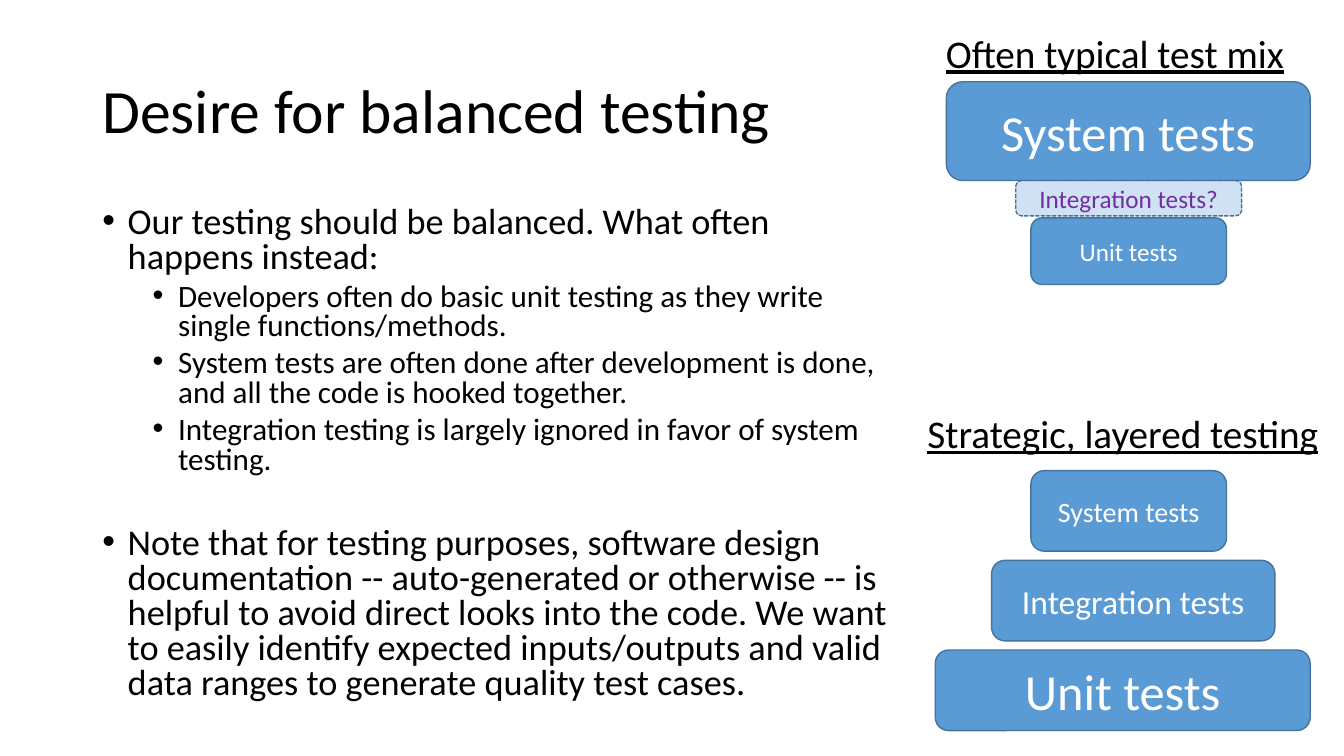
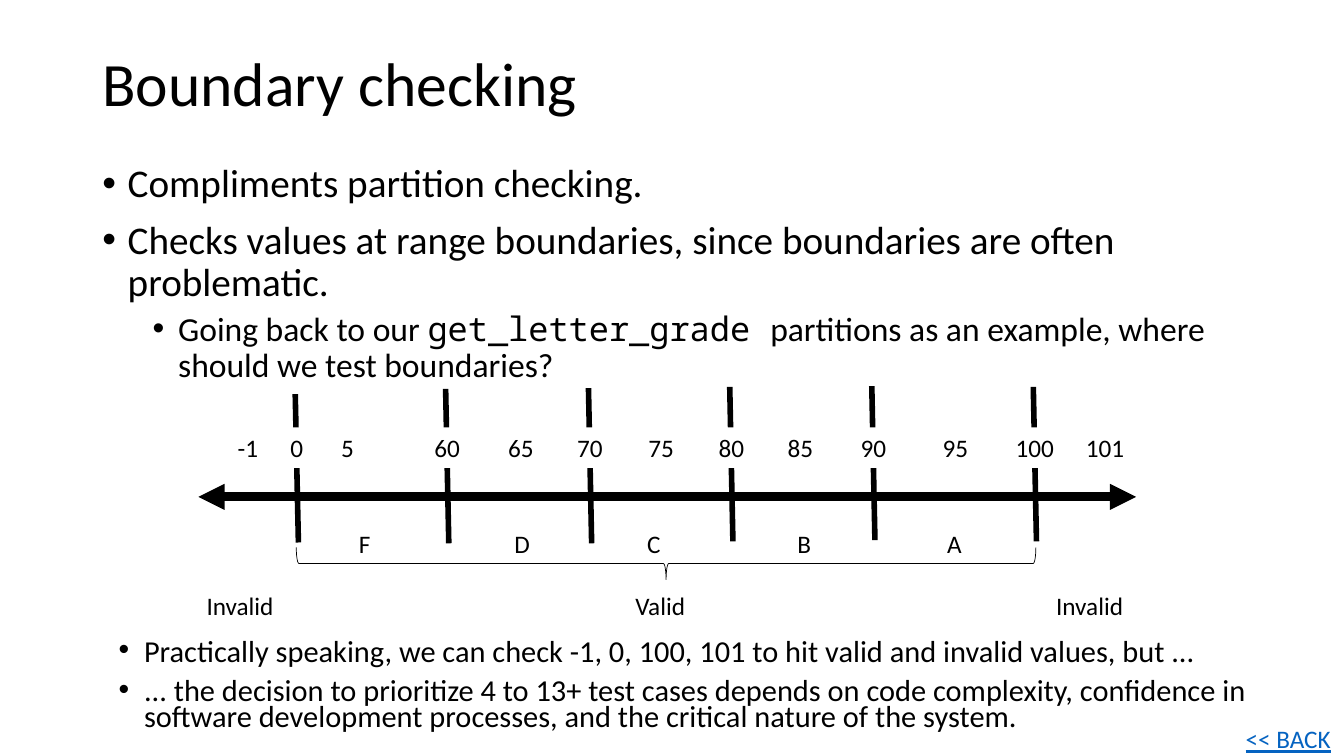
from lxml import etree
from pptx import Presentation
from pptx.dml.color import RGBColor
from pptx.enum.dml import MSO_LINE
from pptx.enum.shapes import MSO_CONNECTOR, MSO_SHAPE
from pptx.enum.text import MSO_ANCHOR, PP_ALIGN
from pptx.oxml.ns import qn
from pptx.util import Cm, Pt

ROUNDED = MSO_SHAPE.ROUNDED_RECTANGLE
BRACE = MSO_SHAPE.RIGHT_BRACE
STRAIGHT = MSO_CONNECTOR.STRAIGHT
DASHED = MSO_LINE.SQUARE_DOT
TOP, MIDDLE = MSO_ANCHOR.TOP, MSO_ANCHOR.MIDDLE
LEFT, CENTER = PP_ALIGN.LEFT, PP_ALIGN.CENTER

COLORS = {
    "ink": "000000",
    "paper": "FFFFFF",
    "block": "5B9BD5",
    "edge": "43739E",
    "question": "7030A0",
    "link": "0563C1",
}
BODY_FONT = "Calibri"
CODE_FONT = "Noto Sans Mono"
LABEL_HEIGHT = 1.02
TICK_LEAN = 0.08


def color(name):
    return RGBColor.from_string(COLORS[name])


def add_span(para, text, size, ink="ink", font=BODY_FONT, underline=False):
    span = para.add_run()
    span.text = text
    span.font.size = Pt(size)
    span.font.name = font
    span.font.color.rgb = color(ink)
    if underline:
        span.font.underline = True


def write(box, text, size, align=LEFT, anchor=TOP, spacing=None, wrap=True, **style):
    frame = box.text_frame
    frame.word_wrap = wrap
    frame.vertical_anchor = anchor
    para = frame.paragraphs[0]
    para.alignment = align
    if spacing:
        para.line_spacing = spacing
    add_span(para, text, size, **style)


def add_text(page, place, text, size, **style):
    box = page.shapes.add_textbox(*map(Cm, place))
    write(box, text, size, **style)
    return box


def add_title(page, text, top, width):
    add_text(page, (2.33, top, width, 3.68), text, 44, anchor=MIDDLE, spacing=0.9)


def add_bullets(page, place, items, sizes, spacing):
    box = page.shapes.add_textbox(*map(Cm, place))
    frame = box.text_frame
    frame.word_wrap = True
    for index, (level, before, spans) in enumerate(items):
        para = frame.paragraphs[0] if index == 0 else frame.add_paragraph()
        para.level = level
        para.line_spacing = spacing
        para.space_before = Pt(before)
        for text, font in spans:
            add_span(para, text, sizes[level], font=font)
        properties = para._p.get_or_add_pPr()
        properties.set("marL", str(Cm(0.64 + 1.27 * level)))
        properties.set("indent", str(Cm(-0.64)))
        etree.SubElement(properties, qn("a:buFont")).set("typeface", "Arial")
        etree.SubElement(properties, qn("a:buChar")).set("char", "•")


def add_block(page, place, text, size, ink="paper", opacity=None, dash=None):
    box = page.shapes.add_shape(ROUNDED, *map(Cm, place))
    box.shadow.inherit = False
    box.fill.solid()
    box.fill.fore_color.rgb = color("block")
    if opacity:
        tone = box._element.spPr.find(".//" + qn("a:srgbClr"))
        etree.SubElement(tone, qn("a:alpha")).set("val", str(opacity * 1000))
    box.line.color.rgb = color("edge")
    box.line.width = Pt(1)
    if dash:
        box.line.dash_style = dash
    write(box, text, size, align=CENTER, anchor=MIDDLE, ink=ink)


def add_heading(page, left, top, text):
    add_text(page, (left, top, 11.13, 1.45), text, 28, align=CENTER, underline=True)


def add_label(page, center, top, text, width=1.5, filled=False):
    place = (center - width / 2, top, width, LABEL_HEIGHT)
    box = add_text(page, place, text, 18, align=CENTER)
    box.text_frame.margin_left = box.text_frame.margin_right = 0
    if filled:
        box.fill.solid()
        box.fill.fore_color.rgb = color("paper")


def add_line(page, start, end, width, arrows=False):
    line = page.shapes.add_connector(STRAIGHT, *map(Cm, start + end))
    line.line.color.rgb = color("ink")
    line.line.width = Pt(width)
    if arrows:
        outline = line.line._get_or_add_ln()
        for tag in ("a:headEnd", "a:tailEnd"):
            etree.SubElement(outline, qn(tag)).set("type", "triangle")
    etree.SubElement(line._element.spPr, qn("a:effectLst"))


def add_brace(page, place):
    brace = page.shapes.add_shape(BRACE, *map(Cm, place))
    brace.rotation = 90
    brace.shadow.inherit = False
    brace.fill.background()
    brace.line.color.rgb = color("ink")
    brace.line.width = Pt(0.5)


def build_balance(page):
    add_title(page, "Desire for balanced testing", 1.02, 17.37)
    points = [
        (0, 10, "Our testing should be balanced. What often happens instead:"),
        (1, 5, "Developers often do basic unit testing as they write single functions/methods."),
        (1, 5, "System tests are often done after development is done, and all the code is hooked together."),
        (1, 5, "Integration testing is largely ignored in favor of system testing."),
        (0, 37, "Note that for testing purposes, software design documentation -- auto-generated "
                "or otherwise -- is helpful to avoid direct looks into the code. We want to easily "
                "identify expected inputs/outputs and valid data ranges to generate quality test cases."),
    ]
    items = [(level, before, [(text, BODY_FONT)]) for level, before, text in points]
    add_bullets(page, (2.33, 5.08, 20.6, 13.34), items, (25.9, 22.2), 0.8)

    add_heading(page, 22.53, 0.61, "Often typical test mix")
    add_block(page, (23.85, 2.06, 9.17, 2.49), "System tests", 36)
    add_block(page, (25.98, 5.49, 4.93, 1.68), "Unit tests", 18)
    add_block(page, (25.6, 4.55, 5.69, 0.89), "Integration tests?", 18,
              ink="question", opacity=29, dash=DASHED)

    add_heading(page, 22.73, 10.19, "Strategic, layered testing")
    layers = [
        (25.98, 4.93, "System tests", 20),
        (24.99, 7.14, "Integration tests", 24),
        (23.57, 9.45, "Unit tests", 36),
    ]
    for index, (left, width, text, size) in enumerate(layers):
        add_block(page, (left, 11.86 + 2.26 * index, width, 2.03), text, size)


def add_number_line(page):
    boundaries = [
        ("0", 7.44, 9.93, 13.67, 0.84),
        ("60", 11.23, 9.8, 13.69, 1.55),
        ("70", 14.83, 9.78, 13.69, 1.55),
        ("80", 18.39, 9.75, 13.64, 1.55),
        ("90", 21.97, 9.73, 13.61, 1.55),
        ("100", 26.04, 9.75, 13.64, 1.55),
    ]
    samples = [("-1", 6.25), ("5", 8.76), ("65", 13.13), ("75", 16.66),
               ("85", 20.17), ("95", 24.08), ("101", 27.85)]
    grades = [("F", 9.19), ("D", 13.16), ("C", 16.48), ("B", 20.27), ("A", 24.05)]
    verdicts = [("Invalid", 6.05), ("Valid", 16.64), ("Invalid", 27.46)]

    add_line(page, (5, 12.52), (28.63, 12.52), 6.25, arrows=True)
    for score, left, top, bottom, width in boundaries:
        add_line(page, (left, top), (left + TICK_LEAN, bottom), 4)
        add_label(page, left + TICK_LEAN / 2, 10.77, score, width, filled=True)
    add_brace(page, (16.38, 4.88, 0.81, 18.64))
    for labels, top, width in ((samples, 10.77, 1.5), (grades, 13.18, 1.5), (verdicts, 14.76, 2.34)):
        for text, center in labels:
            add_label(page, center, top, text, width)


def build_boundaries(page):
    add_title(page, "Boundary checking", 0.33, 29.21)
    checks = [
        (0, 10, [("Compliments partition checking.", BODY_FONT)]),
        (0, 10, [("Checks values at range boundaries, since boundaries are often problematic.", BODY_FONT)]),
        (1, 5, [("Going back to our ", BODY_FONT),
                ("get_letter_grade ", CODE_FONT),
                ("partitions as an example, where should we test boundaries?", BODY_FONT)]),
    ]
    add_bullets(page, (2.33, 4.01, 29.21, 9.02), checks, (28, 24), 0.9)
    add_number_line(page)
    advice = [
        "Practically speaking, we can check -1, 0, 100, 101 to hit valid and invalid values, but ...",
        "... the decision to prioritize 4 to 13+ test cases depends on code complexity, "
        "confidence in software development processes, and the critical nature of the system.",
    ]
    items = [(0, 10, [(text, BODY_FONT)]) for text in advice]
    add_bullets(page, (2.74, 16.05, 29.21, 2.57), items, (21.7,), 0.7)
    add_text(page, (31.14, 18.11, 2.69, LABEL_HEIGHT), "<< BACK", 18,
             wrap=False, ink="link", underline=True)


def main():
    deck = Presentation()
    deck.slide_width = Cm(33.87)
    deck.slide_height = Cm(19.05)
    for build in (build_balance, build_boundaries):
        build(deck.slides.add_slide(deck.slide_layouts[6]))
    deck.save("out.pptx")


main()
